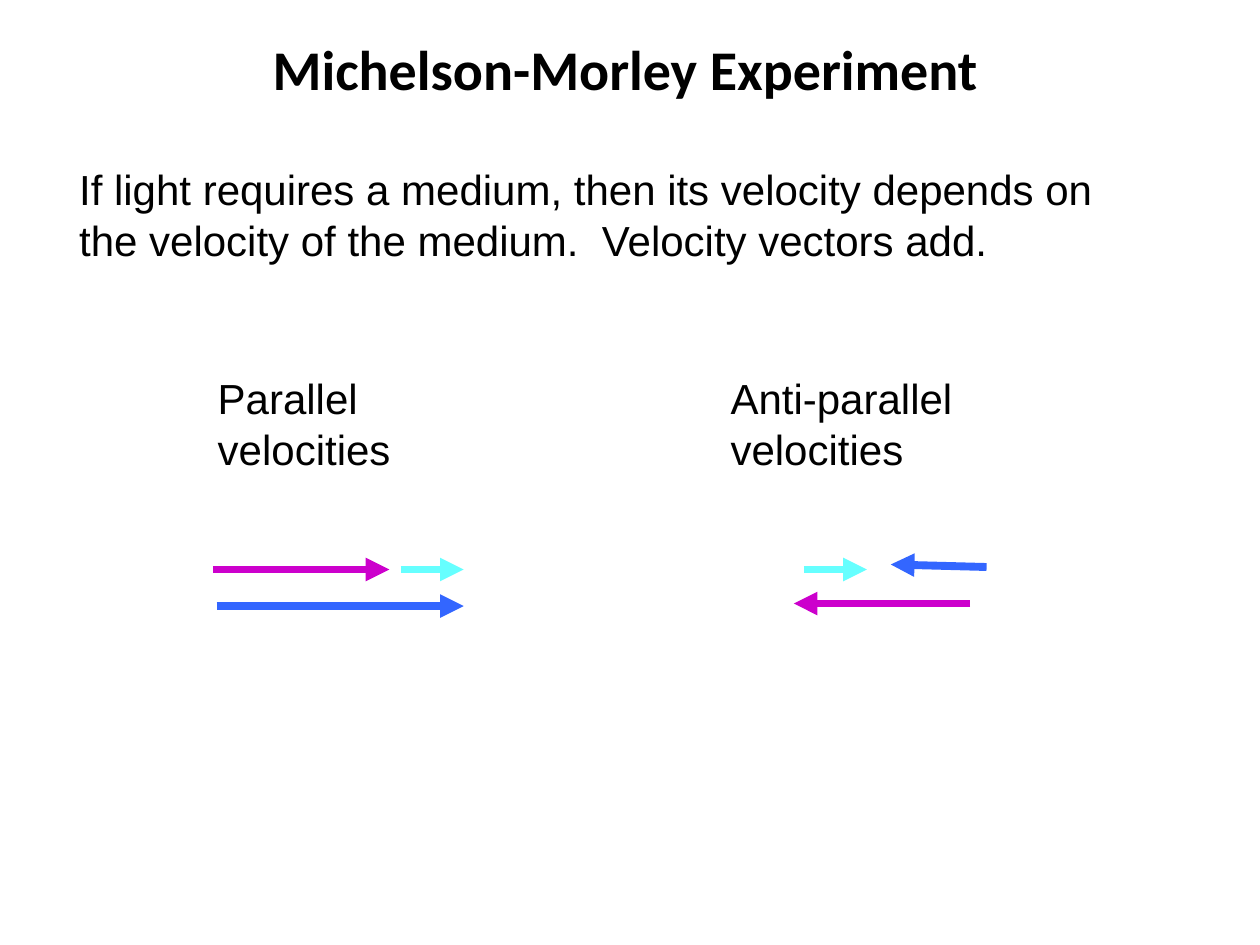
from collections import namedtuple
from dataclasses import dataclass

from lxml.etree import SubElement
from pptx import Presentation
from pptx.dml.color import RGBColor
from pptx.enum.shapes import MSO_CONNECTOR
from pptx.enum.text import MSO_ANCHOR, PP_ALIGN
from pptx.oxml.ns import qn
from pptx.util import Inches, Pt

COLS, ROWS = 100, 75
WIDTH, HEIGHT = Inches(10), Inches(7.5)

Box = namedtuple("Box", "left top width height")


@dataclass(frozen=True)
class Theme:
    ink: str = "000000"
    purple: str = "CC00CC"
    cyan: str = "66FFFF"
    blue: str = "3366FF"
    head: str = "Calibri"
    body: str = "Arial"
    large: int = 32
    normal: int = 24
    stroke: float = 4.5


THEME = Theme()


def across(cols):
    return round(WIDTH * cols / COLS)


def down(rows):
    return round(HEIGHT * rows / ROWS)


def place(box):
    return across(box.left), down(box.top), across(box.width), down(box.height)


def style(para, name, size, bold=False):
    font = para.font
    font.name, font.size, font.bold = name, Pt(size), bold
    font.color.rgb = RGBColor.from_string(THEME.ink)


def add_title(slide, box, text):
    title = slide.shapes.title
    title.left, title.top, title.width, title.height = place(box)
    frame = title.text_frame
    frame.text = text
    frame.vertical_anchor = MSO_ANCHOR.MIDDLE
    para = frame.paragraphs[0]
    para.alignment = PP_ALIGN.CENTER
    style(para, THEME.head, THEME.large, True)


def add_text(slide, box, text):
    frame = slide.shapes.add_textbox(*place(box)).text_frame
    frame.word_wrap = True
    frame.text = text
    style(frame.paragraphs[0], THEME.body, THEME.normal)


def add_arrow(slide, box, color, start, end):
    points = []
    for col, row in (start, end):
        points += [across(box.left + col), down(box.top + row)]
    arrow = slide.shapes.add_connector(MSO_CONNECTOR.STRAIGHT, *points)
    arrow.line.color.rgb = RGBColor.from_string(color)
    arrow.line.width = Pt(THEME.stroke)
    SubElement(arrow.line._get_or_add_ln(), qn("a:tailEnd"), type="triangle")
    SubElement(arrow._element.spPr, qn("a:effectLst"))


def add_case(slide, box, text, arrows):
    add_text(slide, box._replace(height=9.1), text)
    for color, start, end in arrows:
        add_arrow(slide, box, color, start, end)


def main():
    deck = Presentation()
    deck.slide_width, deck.slide_height = WIDTH, HEIGHT
    slide = deck.slides.add_slide(deck.slide_layouts[5])
    add_title(slide, Box(5.3, 2.5, 89.7, 5.8), "Michelson-Morley Experiment ")
    add_text(
        slide,
        Box(5.3, 12.5, 86.9, 9.1),
        "If light requires a medium, then its velocity depends on "
        "the velocity of the medium.  Velocity vectors add.",
    )
    add_case(slide, Box(16.3, 29.1, 18.4, 19), "Parallel velocities", [
        (THEME.purple, (0.6, 16.1), (14.6, 16.1)),
        (THEME.cyan, (15.5, 16.1), (20.5, 16.1)),
        (THEME.blue, (0.9, 19), (20.5, 19)),
    ])
    add_case(slide, Box(57, 29.1, 24.4, 19), "Anti-parallel velocities", [
        (THEME.purple, (20, 18.8), (6, 18.8)),
        (THEME.cyan, (6.8, 16.1), (11.8, 16.1)),
        (THEME.blue, (21.3, 15.9), (13.7, 15.7)),
    ])
    deck.save("out.pptx")


if __name__ == "__main__":
    main()
